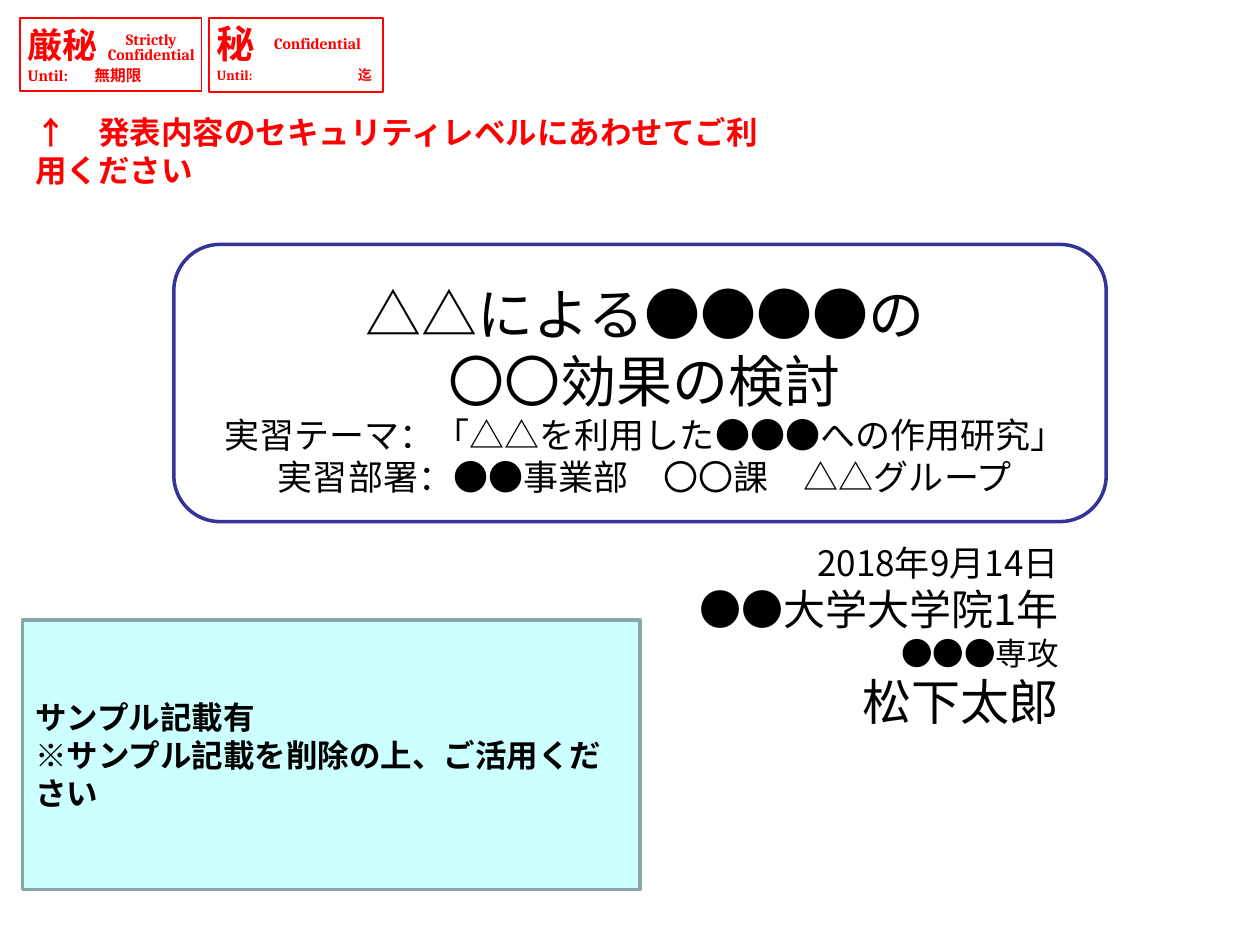
from lxml import etree
from pptx import Presentation
from pptx.dml.color import RGBColor
from pptx.enum.shapes import MSO_SHAPE
from pptx.enum.text import MSO_ANCHOR, PP_ALIGN
from pptx.oxml.ns import qn
from pptx.util import Inches, Pt

RECT, ROUNDED = MSO_SHAPE.RECTANGLE, MSO_SHAPE.ROUNDED_RECTANGLE
TOP, MIDDLE = MSO_ANCHOR.TOP, MSO_ANCHOR.MIDDLE
LEFT, CENTER, RIGHT = PP_ALIGN.LEFT, PP_ALIGN.CENTER, PP_ALIGN.RIGHT
GOTHIC, SERIF, ROMAN = "Noto Sans CJK JP", "Cambria", "Times New Roman"
COLORS = {"black": "000000", "white": "FFFFFF", "red": "FF0000",
          "navy": "333399", "aqua": "CCFFFF", "slate": "8AA6A8"}


class SlideBuilder:
    """Holds the style and the current slide."""

    def __init__(self, page):
        """Keep the page to draw on."""
        self.page = page

    def color(self, name):
        """Look up a colour by name."""
        return RGBColor.from_string(COLORS[name])

    def panel(self, kind, place, line, width, fill=None):
        """Add an outlined preset shape."""
        box = self.page.shapes.add_shape(kind, *map(Inches, place))
        box.shadow.inherit = False
        box.line.color.rgb = self.color(line)
        box.line.width = Pt(width)
        if fill:
            box.fill.solid()
            box.fill.fore_color.rgb = self.color(fill)
        else:
            box.fill.background()
        return box

    def label(self, place, lines, **style):
        """Add a text box holding the given lines."""
        box = self.page.shapes.add_textbox(*map(Inches, place))
        self.set_text(box, lines, **style)

    def set_text(self, box, lines, color="black", bold=False, align=LEFT,
                 anchor=TOP, inset=(0.1, 0.05), pitch=1.2, tab=None):
        """Fill a shape with lines given as (text, size, font)."""
        frame = box.text_frame
        frame.word_wrap = True
        frame.vertical_anchor = anchor
        frame.margin_left = frame.margin_right = Inches(inset[0])
        frame.margin_top = frame.margin_bottom = Inches(inset[1])
        for index, (text, size, font) in enumerate(lines):
            para = frame.add_paragraph() if index else frame.paragraphs[0]
            para.text = text
            para.alignment = align
            para.line_spacing = Pt(round(size * pitch, 1))
            if tab and "\t" in text:
                self.tab_stop(para, tab)
            para.font.name = font
            para.font.size = Pt(size)
            para.font.bold = bold
            para.font.color.rgb = self.color(color)
            east_asian = etree.Element(qn("a:ea"), typeface=GOTHIC)
            para.font._element.find(qn("a:latin")).addnext(east_asian)

    def tab_stop(self, para, position):
        """Add a left tab stop to a paragraph."""
        stops = etree.SubElement(para._p.get_or_add_pPr(), qn("a:tabLst"))
        etree.SubElement(stops, qn("a:tab"), pos=str(Inches(position)), algn="l")

    def stamp(self, place, lines, tab, anchor, inset):
        """Add a red security stamp."""
        box = self.panel(RECT, place, "red", 1, "white")
        self.set_text(box, lines, color="red", bold=True, anchor=anchor,
                      inset=inset, tab=tab)


def main():
    """Build the title slide and save it."""
    deck = Presentation()
    deck.slide_width, deck.slide_height = Inches(10), Inches(7.5)
    slide = SlideBuilder(deck.slides.add_slide(deck.slide_layouts[6]))

    slide.panel(ROUNDED, (1.38, 1.94, 7.4, 2.2), "navy", 2)
    slide.label((0.83, 2.18, 8.58, 1.81), [
        ("△△による●●●●の\v〇〇効果の検討", 32, GOTHIC),
        ("実習テーマ：「△△を利用した●●●への作用研究」\v"
         "実習部署：●●事業部　〇〇課　△△グループ", 20, GOTHIC),
    ], align=CENTER, anchor=MIDDLE)
    slide.label((1.5, 4.25, 7, 1.92), [
        ("2018年9月14日", 20, GOTHIC),
        ("●●大学大学院1年", 24, GOTHIC),
        ("●●●専攻", 18, GOTHIC),
        ("松下太郎", 28, GOTHIC),
    ], align=RIGHT)

    slide.stamp((0.16, 0.14, 1.44, 0.58),
                [("厳秘", 20, ROMAN), ("Until:\t無期限", 9, SERIF)],
                tab=0.53, anchor=MIDDLE, inset=(0.06, 0.05))
    slide.label((0.74, 0.22, 0.92, 0.34),
                [("Strictly", 9, SERIF), ("Confidential", 9, SERIF)],
                color="red", bold=True, align=CENTER, pitch=0.95)
    slide.label((0.18, 0.85, 6.18, 0.7),
                [("↑　発表内容のセキュリティレベルにあわせてご利用ください", 18, GOTHIC)],
                color="red", bold=True)
    slide.stamp((1.66, 0.14, 1.38, 0.59),
                [("秘", 22, SERIF), ("Until:\t迄", 8, SERIF)],
                tab=1.12, anchor=TOP, inset=(0.06, 0.02))
    slide.label((2.06, 0.25, 0.92, 0.23), [("Confidential", 9, SERIF)],
                color="red", bold=True, align=CENTER, pitch=0.95)

    sample = slide.panel(RECT, (0.18, 4.92, 4.9, 2.14), "slate", 2, "aqua")
    slide.set_text(sample, [
        ("サンプル記載有", 18, GOTHIC),
        ("※サンプル記載を削除の上、ご活用ください", 18, GOTHIC),
    ], bold=True, anchor=MIDDLE)

    deck.save("out.pptx")


main()
